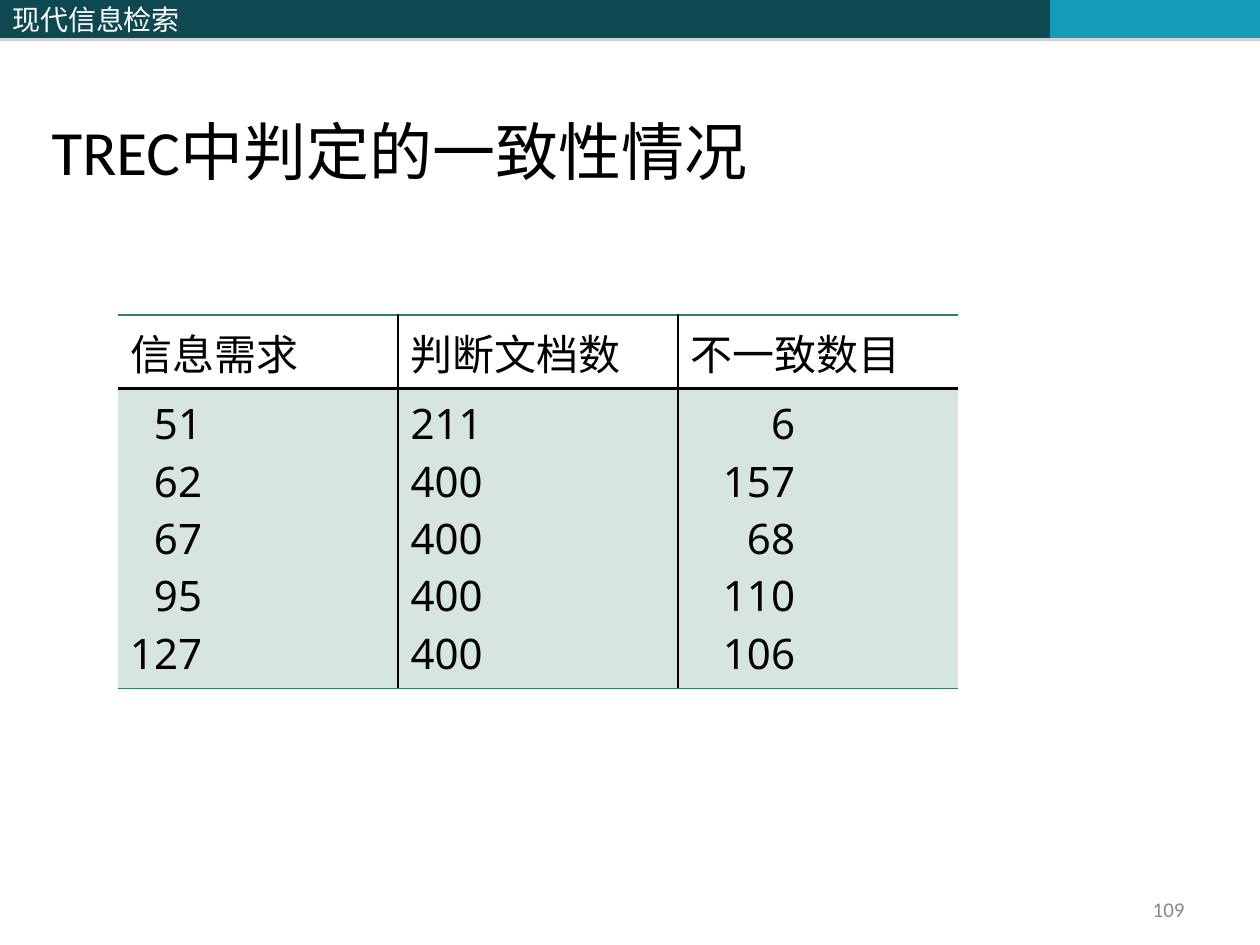
"""Build the slide on judgement agreement in TREC."""
from lxml.etree import SubElement
from pptx import Presentation
from pptx.dml.color import RGBColor
from pptx.enum.shapes import MSO_SHAPE
from pptx.enum.text import MSO_ANCHOR, PP_ALIGN
from pptx.oxml.ns import qn
from pptx.util import Emu, Pt

TITLE = "TREC中判定的一致性情况"
BANNER = [
    (0, 514, "0E4851", "现代信息检索"),
    (514, 536, "0E4851", ""),
    (1050, 210, "139CB7", ""),
]
HEADERS = ["信息需求", "判断文档数", "不一致数目"]
ROWS = [
    (51, 211, 6),
    (62, 400, 157),
    (67, 400, 68),
    (95, 400, 110),
    (127, 400, 106),
]
RIGHT_INSETS = [196, None, 163]
COL_W, HEAD_H, BODY_H = 280, 73, 300
CJK = "Noto Sans CJK SC"
GREEN, BLACK = ("357E69", 1), ("000000", 1.5)


def px(n):
    return Emu(round(n * 914400 / 126))


def rgb(value):
    return RGBColor.from_string(value)


def write(tf, lines, size, font, color="000000", align=PP_ALIGN.LEFT, **frame):
    for name, value in frame.items():
        setattr(tf, name, value)
    for i, line in enumerate(lines):
        p = tf.add_paragraph() if i else tf.paragraphs[0]
        p.alignment = align
        r = p.add_run()
        r.text = str(line)
        for name, value in {"size": Pt(size), "name": font}.items():
            setattr(r.font, name, value)
        r.font.color.rgb = rgb(color)
        SubElement(r.font._element, qn("a:ea"), typeface=CJK)


def add_shadow(sp):
    sp.shadow.inherit = False
    effects = sp._element.spPr.find(qn("a:effectLst"))
    shadow = SubElement(effects, qn("a:outerShdw"), blurRad="0",
                        dist=str(Pt(1.8)), dir="5400000", rotWithShape="0")
    color = SubElement(shadow, qn("a:srgbClr"), val="808080")
    SubElement(color, qn("a:alpha"), val="35000")


def set_borders(cell, **sides):
    tc_pr = cell._tc.get_or_add_tcPr()
    for side in "LRTB":
        line = sides.get(side)
        ln = SubElement(tc_pr, qn(f"a:ln{side}"))
        if line:
            ln.set("w", str(Pt(line[1])))
            fill = SubElement(ln, qn("a:solidFill"))
            SubElement(fill, qn("a:srgbClr"), val=line[0])
        else:
            SubElement(ln, qn("a:noFill"))


def add_banner(s):
    for left, width, color, label in BANNER:
        sp = s.shapes.add_shape(MSO_SHAPE.RECTANGLE, px(left), 0, px(width), px(38))
        sp.fill.solid()
        sp.fill.fore_color.rgb = rgb(color)
        sp.line.fill.background()
        add_shadow(sp)
        if label:
            write(sp.text_frame, [label], 16, CJK, "FFFFFF",
                  vertical_anchor=MSO_ANCHOR.MIDDLE)


def add_judgements(s):
    n = len(HEADERS)
    table = s.shapes.add_table(2, n, px(118), px(315), px(COL_W * n),
                               px(HEAD_H + BODY_H)).table
    table.first_row = table.horz_banding = False
    for row, height in zip(table.rows, (HEAD_H, BODY_H)):
        row.height = px(height)
    for c, (header, values, inset) in enumerate(zip(HEADERS, zip(*ROWS), RIGHT_INSETS)):
        table.columns[c].width = px(COL_W)
        head, body = table.cell(0, c), table.cell(1, c)
        sides = {"L": BLACK if c else None, "R": BLACK if c < n - 1 else None}
        set_borders(head, T=GREEN, B=BLACK, **sides)
        set_borders(body, T=BLACK, B=GREEN, **sides)
        head.fill.background()
        body.fill.solid()
        body.fill.fore_color.rgb = rgb("D7E5E1")
        write(head.text_frame, [header], 24, "Noto Sans")
        if inset:
            body.margin_left, body.margin_right = 0, px(inset)
        write(body.text_frame, values, 24, "Noto Sans",
              align=PP_ALIGN.RIGHT if inset else PP_ALIGN.LEFT)


def main():
    prs = Presentation()
    prs.slide_width, prs.slide_height = px(1260), px(945)
    s = prs.slides.add_slide(prs.slide_layouts[5])
    add_banner(s)
    title = s.shapes.title
    title.left, title.top, title.width, title.height = map(px, (39, 1, 1182, 193))
    write(title.text_frame, [TITLE], 36, "Calibri",
          vertical_anchor=MSO_ANCHOR.BOTTOM, word_wrap=True)
    add_judgements(s)
    number = s.shapes.add_textbox(*map(px, (903, 892, 294, 34)))
    write(number.text_frame, ["109"], 12, "Calibri", "898989", PP_ALIGN.RIGHT,
          vertical_anchor=MSO_ANCHOR.MIDDLE, word_wrap=True)
    prs.save("out.pptx")


if __name__ == "__main__":
    main()
